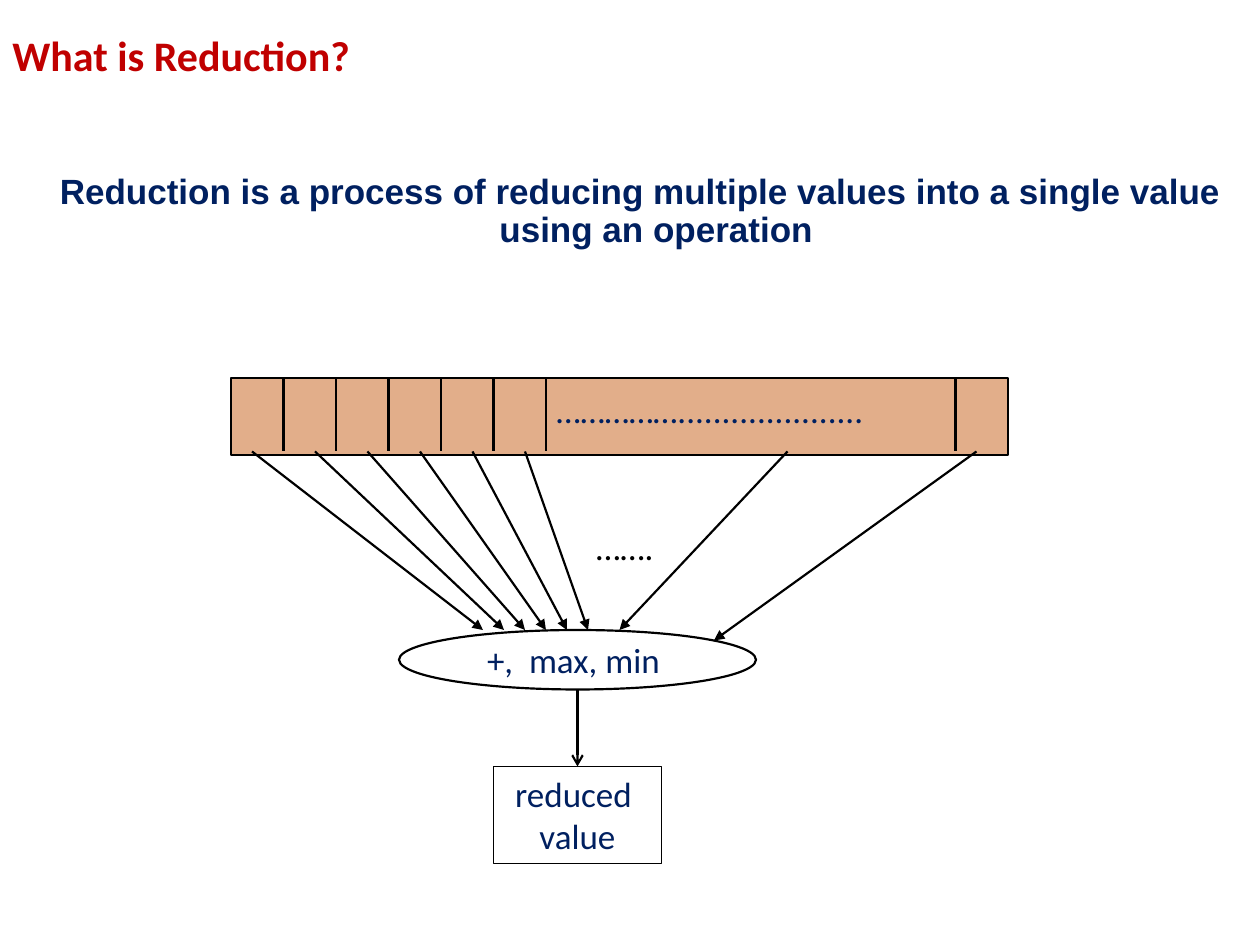
from lxml import etree
from pptx import Presentation
from pptx.dml.color import RGBColor
from pptx.enum.shapes import MSO_CONNECTOR, MSO_SHAPE
from pptx.enum.text import MSO_ANCHOR, PP_ALIGN
from pptx.oxml.ns import qn
from pptx.util import Pt

LINE = MSO_CONNECTOR.STRAIGHT
RECT, OVAL = MSO_SHAPE.RECTANGLE, MSO_SHAPE.OVAL
TOP, MIDDLE = MSO_ANCHOR.TOP, MSO_ANCHOR.MIDDLE
LEFT, CENTER = PP_ALIGN.LEFT, PP_ALIGN.CENTER
COLORS = {"title": "C00000", "navy": "002060", "black": "000000", "array": "C55A11"}

ARRAY_TOP, ARRAY_LEFT, CELL = 216, 132, 30
CELL_BOTTOM, OVAL_TOP = 258, 360


def rgb(name):
    return RGBColor.from_string(COLORS[name])


def write(shape, text, size=20, font="Calibri", color="navy", bold=False,
          align=CENTER, anchor=TOP, inset=(0, 0), spacing=1.0, hanging=0):
    tf = shape.text_frame
    tf.word_wrap = True
    tf.vertical_anchor = anchor
    tf.margin_left = tf.margin_right = Pt(inset[0])
    tf.margin_top = tf.margin_bottom = Pt(inset[1])
    for i, line in enumerate(text.split("\n")):
        p = tf.add_paragraph() if i else tf.paragraphs[0]
        p.alignment = align
        p.line_spacing = spacing
        if hanging:
            pPr = p._p.get_or_add_pPr()
            pPr.set("marL", str(Pt(hanging)))
            pPr.set("indent", str(-Pt(hanging)))
        r = p.add_run()
        r.text = line
        r.font.name, r.font.size, r.font.bold = font, Pt(size), bold
        r.font.color.rgb = rgb(color)


def add_text(s, box, text, **fmt):
    write(s.shapes.add_textbox(*map(Pt, box)), text, **fmt)


def add_box(s, kind, box, width=1.25, fill=None, alpha=100):
    sp = s.shapes.add_shape(kind, *map(Pt, box))
    sp.shadow.inherit = False
    sp.line.color.rgb = rgb("black")
    sp.line.width = Pt(width)
    if fill:
        sp.fill.solid()
        sp.fill.fore_color.rgb = rgb(fill)
        clr = sp._element.spPr.find(qn("a:solidFill"))[0]
        etree.SubElement(clr, qn("a:alpha"), val=str(alpha * 1000))
    else:
        sp.fill.background()
    return sp


def add_line(s, x1, y1, x2, y2, head=None):
    c = s.shapes.add_connector(LINE, Pt(x1), Pt(y1), Pt(x2), Pt(y2))
    c.line.color.rgb = rgb("black")
    c.line.width = Pt(1.25)
    if head:
        etree.SubElement(c.line._get_or_add_ln(), qn("a:tailEnd"), type=head)
    etree.SubElement(c._element.spPr, qn("a:effectLst"))


def add_array(s):
    add_box(s, RECT, (ARRAY_LEFT, ARRAY_TOP, 444, 44), fill="array", alpha=49)
    dividers = [ARRAY_LEFT + CELL * i for i in range(1, 7)] + [546]
    for x in dividers:
        add_line(s, x, ARRAY_TOP, x, CELL_BOTTOM)
    add_text(s, (318, 222, 222, 24), "…………….....................", align=LEFT)


def add_reduction(s):
    starts = [144] + [180 + CELL * i for i in range(5)]
    for i, x in enumerate(starts):
        add_line(s, x, CELL_BOTTOM, 276 + 12 * i, OVAL_TOP, "triangle")
    add_line(s, 450, CELL_BOTTOM, 354, OVAL_TOP, "triangle")
    add_line(s, 558, CELL_BOTTOM, 408, OVAL_TOP + 6, "triangle")
    add_text(s, (330, 300, 54, 24), "…….", color="black")

    oval = add_box(s, OVAL, (228, OVAL_TOP, 204, 34))
    write(oval, "+,  max, min ", anchor=MIDDLE)
    add_line(s, 330, 394, 330, 438, "arrow")
    result = add_box(s, RECT, (282, 438, 96, 55.5), width=0.75)
    write(result, "reduced \nvalue", inset=(7.2, 3.6))


def main():
    prs = Presentation()
    prs.slide_width, prs.slide_height = Pt(720), Pt(540)
    s = prs.slides.add_slide(prs.slide_layouts[6])
    add_text(s, (0, 0, 720, 66), "What is Reduction?", size=24, color="title",
             bold=True, align=LEFT, anchor=MIDDLE, inset=(7.2, 3.6), spacing=0.9)
    add_text(s, (12, 96, 708, 60),
             "Reduction is a process of reducing multiple values into a single value "
             "using an operation", font="Arial", bold=True, inset=(7.2, 3.6),
             spacing=0.9, hanging=18)
    add_array(s)
    add_reduction(s)
    prs.save("out.pptx")


if __name__ == "__main__":
    main()
